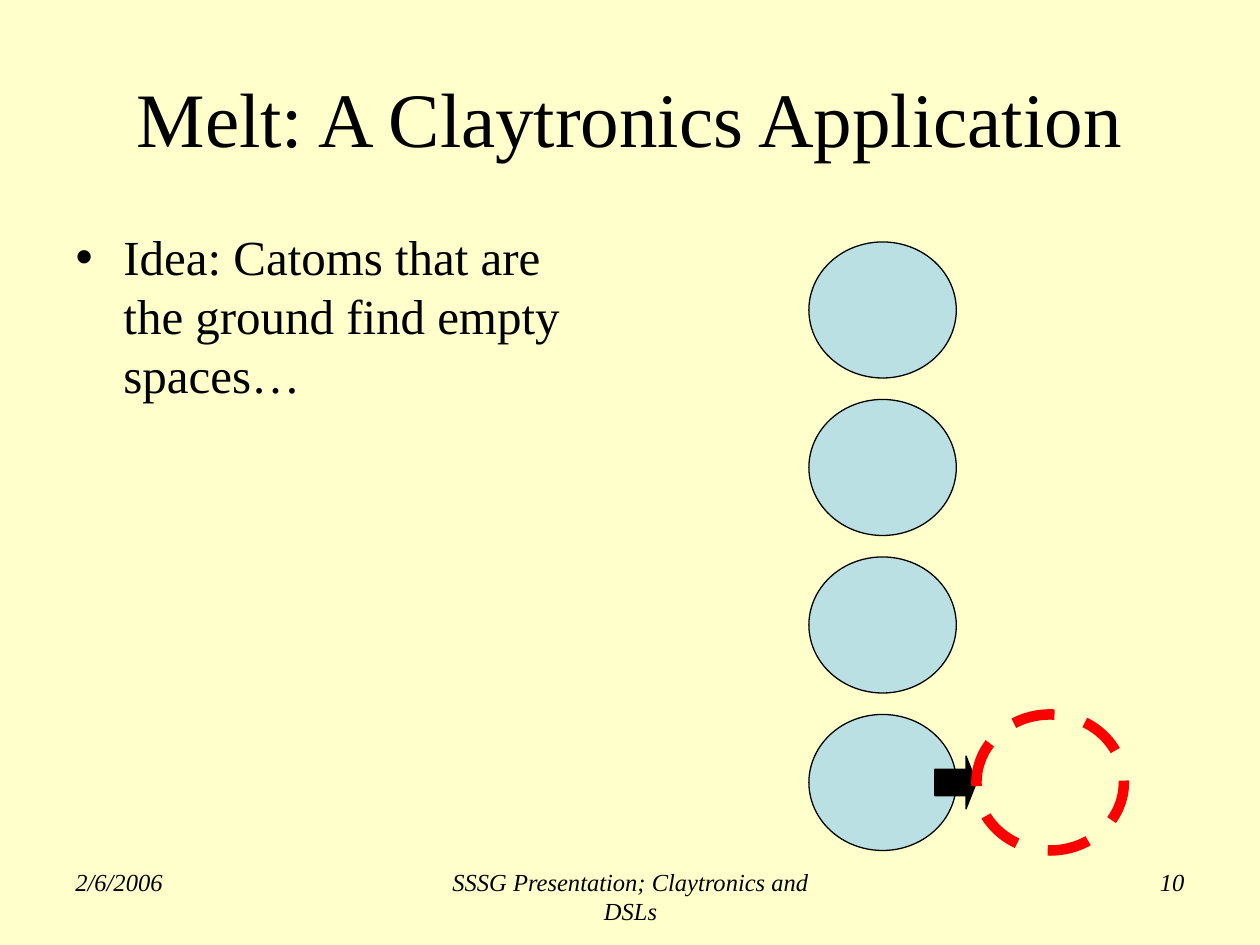
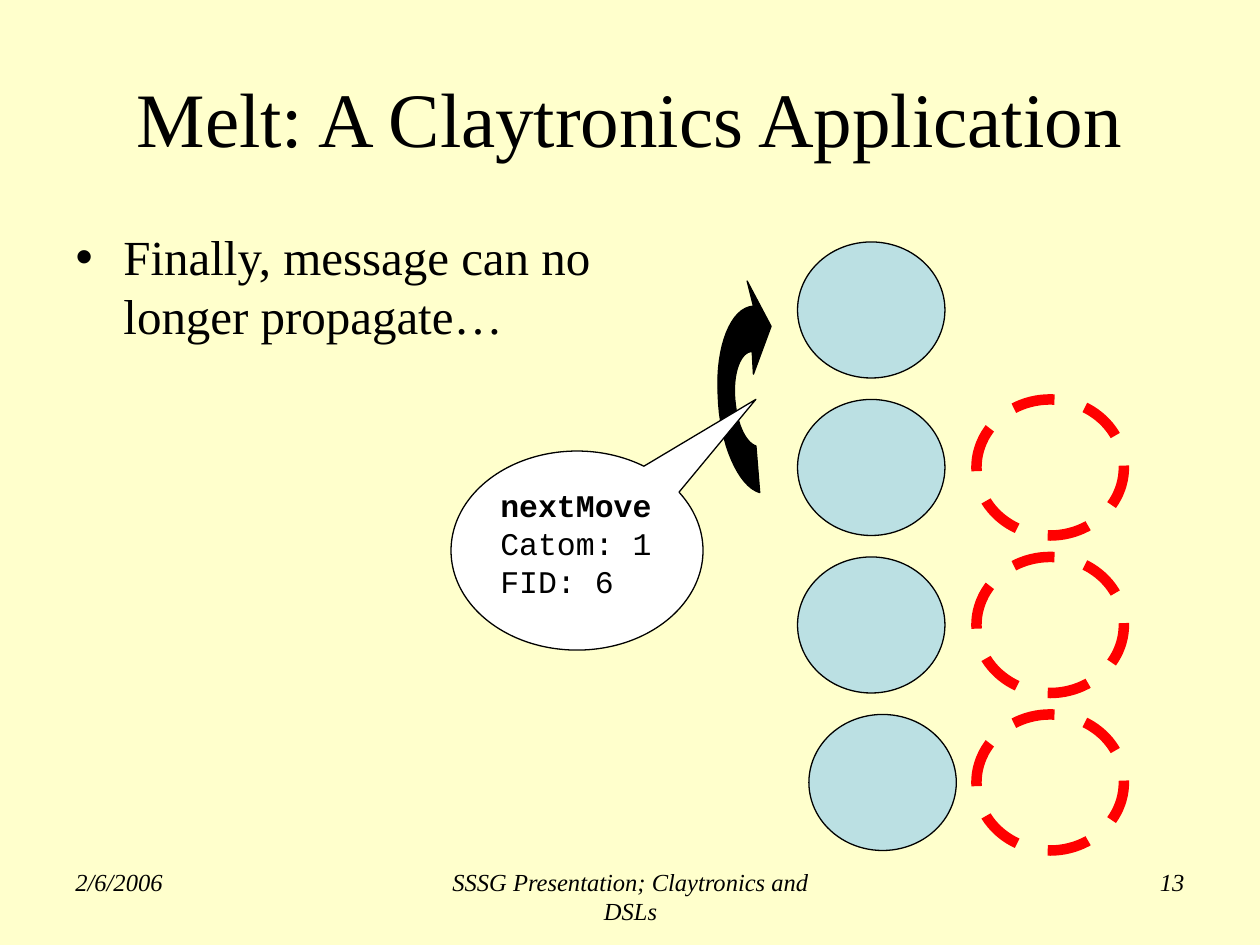
from collections import namedtuple

from lxml.etree import SubElement
from pptx import Presentation
from pptx.dml.color import RGBColor
from pptx.enum.dml import MSO_LINE
from pptx.enum.shapes import MSO_SHAPE
from pptx.enum.text import MSO_ANCHOR, MSO_AUTO_SIZE, PP_ALIGN
from pptx.oxml.ns import qn
from pptx.util import Inches, Pt

# Shared style
CREAM = RGBColor(0xFF, 0xFF, 0xCC)
BLACK = RGBColor(0x00, 0x00, 0x00)
WHITE = RGBColor(0xFF, 0xFF, 0xFF)
CATOM_BLUE = RGBColor(0xBB, 0xE0, 0xE3)
GAP_RED = RGBColor(0xFF, 0x00, 0x00)
SERIF = "Times New Roman"
MONO = "Courier New"

# Every box is left, top, width, height in inches
Box = namedtuple("Box", "left top width height")
TITLE_BOX = Box(0.5, 0.3, 9, 1.25)
BODY_BOX = Box(0.5, 1.75, 4.42, 4.95)
FOOTER_BOX = Box(0.5, 6.83, 9, 0.52)
GRID_BOX = Box(6.42, 1.92, 2.5, 4.83)
CALLOUT_BOX = Box(3.58, 3.58, 2, 1.58)
CURVE_BOX = Box(5.68, 2.23, 0.44, 1.68)

# Catom grid: four rows, with the empty spaces in a second column
ROWS = 4
ROW_STEP = 1.25
CATOM_WIDTH, CATOM_HEIGHT = 1.17, 1.08

TITLE = "Melt: A Claytronics Application"
DATE = "2/6/2006"
FOOTER = "SSSG Presentation; Claytronics and DSLs"


def lengths(box):
    return [Inches(value) for value in box]


def write(shape, lines, size, font=SERIF, align=PP_ALIGN.LEFT, anchor=MSO_ANCHOR.TOP,
          italic=False, bold_lines=(), space_before=0):
    """Fill a shape with one paragraph per line and return the paragraphs."""
    frame = shape.text_frame
    frame.word_wrap = True
    frame.auto_size = MSO_AUTO_SIZE.NONE
    frame.vertical_anchor = anchor
    frame.margin_left = frame.margin_right = Inches(0.1)
    frame.margin_top = frame.margin_bottom = Inches(0.05)
    frame.text = "\n".join(lines)
    for index, para in enumerate(frame.paragraphs):
        para.alignment = align
        para.space_before = Pt(space_before)
        span = para.runs[0]
        span.font.name = font
        span.font.size = Pt(size)
        span.font.bold = index in bold_lines
        span.font.italic = italic
        span.font.color.rgb = BLACK
    return frame.paragraphs


def style(shape, fill=None, line=BLACK, weight=0.75):
    shape.shadow.inherit = False
    if fill is None:
        shape.fill.background()
    else:
        shape.fill.solid()
        shape.fill.fore_color.rgb = fill
    shape.line.color.rgb = line
    shape.line.width = Pt(weight)


def place(shape, box):
    shape.left, shape.top, shape.width, shape.height = lengths(box)


def add_bullet(para):
    properties = para._p.get_or_add_pPr()
    properties.set("marL", str(Inches(0.38)))
    properties.set("indent", str(-Inches(0.38)))
    SubElement(properties, qn("a:buChar")).set("char", "•")


def add_footer(page, box, number):
    parts = (
        (DATE, 0, 2.33, PP_ALIGN.LEFT),
        (FOOTER, 2.92, 3.17, PP_ALIGN.CENTER),
        (str(number), 6.67, 2.33, PP_ALIGN.RIGHT),
    )
    for text, offset, width, align in parts:
        part_box = Box(box.left + offset, box.top, width, box.height)
        text_box = page.shapes.add_textbox(*lengths(part_box))
        write(text_box, [text], 14, align=align, italic=True)


def add_page(deck, bullet, number):
    page = deck.slides.add_slide(deck.slide_layouts[1])
    title, body = page.shapes.title, page.placeholders[1]
    place(title, TITLE_BOX)
    write(title, [TITLE], 44, align=PP_ALIGN.CENTER, anchor=MSO_ANCHOR.MIDDLE)
    place(body, BODY_BOX)
    add_bullet(write(body, [bullet], 28, space_before=7)[0])
    add_footer(page, FOOTER_BOX, number)
    return page


def add_catoms(page, box, shift=0):
    """Stack the catoms; all but the ground one move left by shift."""
    for row in range(ROWS):
        left = box.left - (shift if row < ROWS - 1 else 0)
        catom_box = Box(left, box.top + row * ROW_STEP, CATOM_WIDTH, CATOM_HEIGHT)
        catom = page.shapes.add_shape(MSO_SHAPE.OVAL, *lengths(catom_box))
        style(catom, CATOM_BLUE)


def add_empty_spaces(page, box, rows):
    left = box.left + box.width - CATOM_WIDTH
    for row in rows:
        space_box = Box(left, box.top + row * ROW_STEP, CATOM_WIDTH, CATOM_HEIGHT)
        space = page.shapes.add_shape(MSO_SHAPE.OVAL, *lengths(space_box))
        style(space, line=GAP_RED, weight=6)
        space.line.dash_style = MSO_LINE.DASH


def add_move_arrow(page, box):
    """Point from the ground catom to the empty space beside it."""
    arrow_box = Box(box.left + 1, box.top + 4.08, 0.33, 0.42)
    arrow = page.shapes.add_shape(MSO_SHAPE.RIGHT_ARROW, *lengths(arrow_box))
    arrow.adjustments[0], arrow.adjustments[1] = 0.5, 0.25
    style(arrow, BLACK)


def curve(start, control_1, control_2, end, steps=16):
    """Points along a cubic curve, without its start."""
    points = []
    for step in range(1, steps + 1):
        t = step / steps
        weights = ((1 - t) ** 3, 3 * t * (1 - t) ** 2, 3 * t ** 2 * (1 - t), t ** 3)
        corners = zip(start, control_1, control_2, end)
        points.append(tuple(sum(w * c for w, c in zip(weights, axis)) for axis in corners))
    return points


def add_curved_arrow(page, box):
    """Message passed up to the next catom."""
    inner_top, inner_left, inner_bottom = (0.29, 0.56), (0.15, 0.91), (0.32, 1.31)
    outer_bottom, outer_left, outer_top = (0.35, 1.68), (0.02, 0.9), (0.3, 0.2)
    outline = [
        *curve(inner_top, (0.2, 0.56), (0.14, 0.72), inner_left),
        *curve(inner_left, (0.16, 1.11), (0.23, 1.28), inner_bottom),
        outer_bottom,
        *curve(outer_bottom, (0.18, 1.63), (0.03, 1.29), outer_left),
        *curve(outer_left, (0, 0.52), (0.12, 0.21), outer_top),
        (0.25, 0), (0.44, 0.36), (0.3, 0.74),
    ]
    points = [(Inches(box.left + x), Inches(box.top + y)) for x, y in outline]
    start = (Inches(box.left + inner_top[0]), Inches(box.top + inner_top[1]))
    builder = page.shapes.build_freeform(*start)
    builder.add_line_segments(points, close=True)
    style(builder.convert_to_shape(), BLACK)


def add_message(page, box):
    callout = page.shapes.add_shape(MSO_SHAPE.OVAL_CALLOUT, *lengths(box))
    callout.adjustments[0], callout.adjustments[1] = 0.71, -0.76
    style(callout, WHITE)
    write(callout, ["nextMove", "Catom: 1", "FID: 6"], 18, font=MONO, bold_lines=(0,))


def build_idea_page(deck):
    page = add_page(deck, "Idea: Catoms that are the ground find empty spaces…", 10)
    add_catoms(page, GRID_BOX)
    add_move_arrow(page, GRID_BOX)
    add_empty_spaces(page, GRID_BOX, rows=[3])


def build_final_page(deck):
    page = add_page(deck, "Finally, message can no longer propagate…", 13)
    add_catoms(page, GRID_BOX, shift=0.09)
    add_empty_spaces(page, GRID_BOX, rows=[1, 2, 3])
    add_curved_arrow(page, CURVE_BOX)
    add_message(page, CALLOUT_BOX)


def main():
    deck = Presentation()
    deck.slide_width, deck.slide_height = Inches(10), Inches(7.5)
    background = deck.slide_master.background.fill
    background.solid()
    background.fore_color.rgb = CREAM
    build_idea_page(deck)
    build_final_page(deck)
    deck.save("out.pptx")


if __name__ == "__main__":
    main()
